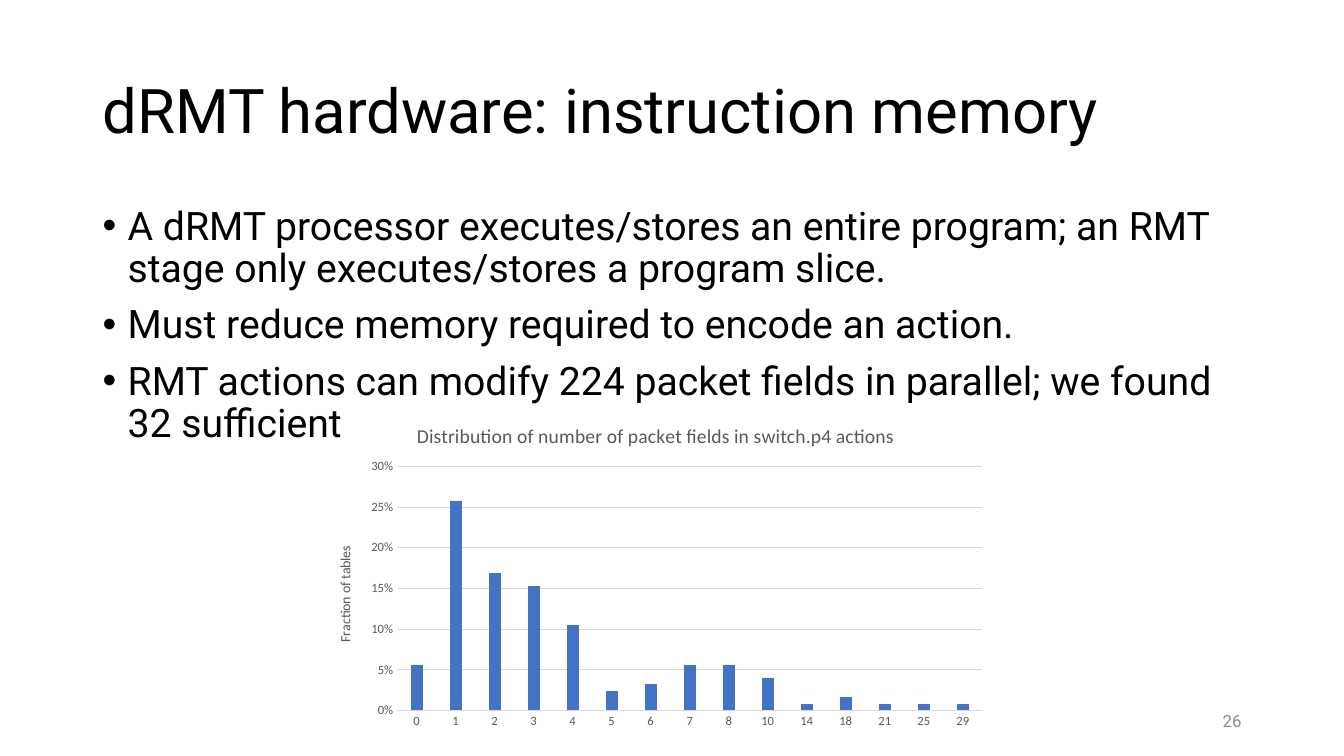
import pptx
import pptx.util
import pptx.chart.data
import pptx.dml.color
import pptx.enum.chart
import pptx.enum.text
import pptx.oxml

Cm, Pt = pptx.util.Cm, pptx.util.Pt
ALIGN = pptx.enum.text.PP_ALIGN
ANCHOR = pptx.enum.text.MSO_ANCHOR

BULLETS = [
    "A dRMT processor executes/stores an entire program; "
    "an RMT stage only executes/stores a program slice.",
    "Must reduce memory required to encode an action.",
    "RMT actions can modify 224 packet fields in parallel; we found 32 sufficient",
]
FIELD_SHARES = {
    "0": 0.056, "1": 0.258, "2": 0.169, "3": 0.153, "4": 0.105,
    "5": 0.024, "6": 0.032, "7": 0.056, "8": 0.056, "10": 0.04,
    "14": 0.008, "18": 0.016, "21": 0.008, "25": 0.008, "29": 0.008,
}


def rgb(color):
    return pptx.dml.color.RGBColor.from_string(color)


def set_font(font, name, size, color):
    font.name, font.size, font.bold = name, Pt(size), False
    font.color.rgb = rgb(color)


def place(sp, box):
    sp.left, sp.top, sp.width, sp.height = [Cm(v) for v in box]


def add_run(p, text, name, size, color):
    r = p.add_run()
    r.text = text
    set_font(r.font, name, size, color)


def fill_title(sp, box, text):
    place(sp, box)
    tf = sp.text_frame
    tf.auto_size = pptx.enum.text.MSO_AUTO_SIZE.NONE
    tf.vertical_anchor = ANCHOR.MIDDLE
    p = tf.paragraphs[0]
    p.alignment, p.line_spacing = ALIGN.LEFT, 0.9
    add_run(p, text, "Roboto", 44, "000000")


def fill_bullets(sp, box, lines):
    place(sp, box)
    tf = sp.text_frame
    tf.auto_size = pptx.enum.text.MSO_AUTO_SIZE.NONE
    for i, line in enumerate(lines):
        p = tf.add_paragraph() if i else tf.paragraphs[0]
        p.line_spacing, p.space_before = 0.9, Pt(10)
        pPr = p._p.get_or_add_pPr()
        pPr.set("marL", str(Pt(18)))
        pPr.set("indent", str(-Pt(18)))
        add_run(p, line, "Roboto", 28, "000000")


def add_page_number(slide, box, number):
    tf = slide.shapes.add_textbox(*[Cm(v) for v in box]).text_frame
    tf.word_wrap = True
    tf.vertical_anchor = ANCHOR.MIDDLE
    p = tf.paragraphs[0]
    p.alignment = ALIGN.RIGHT
    add_run(p, number, "Roboto", 12, "8C8C8C")


def set_plot_area(chart, x, y, w, h):
    """Fix the inner plot area as fractions of the chart."""
    area = chart._chartSpace.chart.plotArea
    for old in area.xpath("c:layout"):
        area.remove(old)
    values = "".join(f'<c:{k} val="{v}"/>' for k, v in zip("xywh", (x, y, w, h)))
    area.insert(0, pptx.oxml.parse_xml(
        '<c:layout xmlns:c="http://schemas.openxmlformats.org/drawingml/2006/chart">'
        '<c:manualLayout><c:layoutTarget val="inner"/><c:xMode val="edge"/>'
        f'<c:yMode val="edge"/>{values}</c:manualLayout></c:layout>'))


def style_axis(axis):
    axis.major_tick_mark = axis.minor_tick_mark = pptx.enum.chart.XL_TICK_MARK.NONE
    set_font(axis.tick_labels.font, "Calibri", 9, "595959")


def style_line(line):
    line.color.rgb, line.width = rgb("D9D9D9"), Pt(0.75)


def add_distribution_chart(slide, box, shares):
    data = pptx.chart.data.CategoryChartData(number_format="0%")
    data.categories = list(shares)
    data.add_series("Series 1", list(shares.values()))
    chart = slide.shapes.add_chart(
        pptx.enum.chart.XL_CHART_TYPE.COLUMN_CLUSTERED,
        *[Cm(v) for v in box], data).chart
    set_font(chart.font, "Calibri", 10, "000000")
    chart.has_legend = False
    chart.has_title = True
    add_run(chart.chart_title.text_frame.paragraphs[0],
            "Distribution of number of packet fields in switch.p4 actions",
            "Calibri", 14, "595959")
    chart.chart_title.include_in_layout = False

    plot = chart.plots[0]
    plot.gap_width, plot.overlap, plot.vary_by_categories = 219, -27, False
    fill = plot.series[0].format.fill
    fill.solid()
    fill.fore_color.rgb = rgb("4472C4")

    cat, val = chart.category_axis, chart.value_axis
    style_axis(cat)
    style_line(cat.format.line)
    style_axis(val)
    val.format.line.fill.background()
    style_line(val.major_gridlines.format.line)
    val.minimum_scale, val.maximum_scale, val.major_unit = 0, 0.3, 0.05
    val.tick_labels.number_format = "0%"
    val.tick_labels.number_format_is_linked = False
    add_run(val.axis_title.text_frame.paragraphs[0],
            "Fraction of tables", "Calibri", 10, "595959")
    set_plot_area(chart, 0.12, 0.18, 0.86, 0.74)


def main():
    prs = pptx.Presentation()
    prs.slide_width, prs.slide_height = Cm(33.87), Cm(19.05)
    slide = prs.slides.add_slide(prs.slide_layouts[1])
    title, body = slide.placeholders
    fill_title(title, (2.33, 1.01, 29.21, 3.68), "dRMT hardware: instruction memory")
    fill_bullets(body, (2.33, 5.07, 29.21, 12.09), BULLETS)
    add_page_number(slide, (23.92, 17.66, 7.62, 1.01), "26")
    add_distribution_chart(slide, (7.95, 10.26, 17.15, 8.31), FIELD_SHARES)
    prs.save("out.pptx")


if __name__ == "__main__":
    main()
